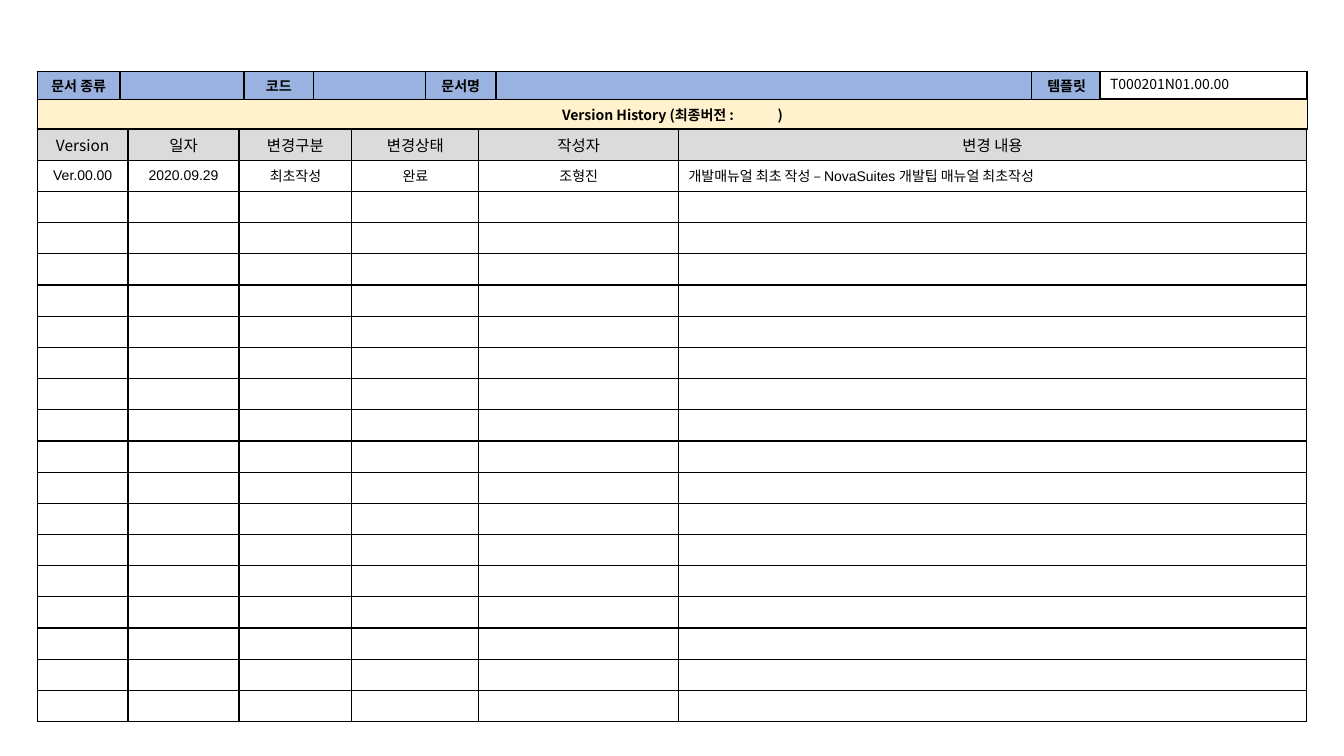
from dataclasses import dataclass

from lxml.etree import SubElement
from pptx import Presentation
from pptx.dml.color import RGBColor
from pptx.enum.text import MSO_ANCHOR as ANCHOR, MSO_AUTO_SIZE as AUTO, PP_ALIGN as ALIGN
from pptx.oxml.ns import qn
from pptx.util import Inches, Pt

BLACK = RGBColor(0x00, 0x00, 0x00)
WHITE = RGBColor(0xFF, 0xFF, 0xFF)
BLUE = RGBColor(0x99, 0xB2, 0xDF)
CREAM = RGBColor(0xFF, 0xF2, 0xCC)
GRAY = RGBColor(0xDB, 0xDB, 0xDB)
KOREAN = "Noto Sans CJK KR"
LATIN = "Arial"
LEFT = 0.37
HEADER_TOP, HEADER_HEIGHT = 0.71, 0.28
TITLE_TOP, TITLE_HEIGHT = 0.99, 0.29
HISTORY_TOP, HISTORY_HEIGHT = 1.28, 5.88
HISTORY_ROWS = 19


@dataclass
class RowStyle:
    fill: RGBColor
    size: float = 10
    font: str = KOREAN
    bold: bool = False


@dataclass
class Grid:
    top: float
    height: float
    widths: list[float]
    texts: list[list[str]]
    styles: list[RowStyle]


def add_text(p, text: str, *, size: float = 10, font: str = KOREAN,
             bold: bool = False, spacing: float = 0) -> None:
    r = p.add_run()
    r.text = text
    r.font.size = Pt(size)
    r.font.bold = bold
    r.font.color.rgb = BLACK
    r.font.name = font
    r_pr = r.font._element
    SubElement(r_pr, qn("a:ea"), typeface=KOREAN)
    if spacing:
        r_pr.set("spc", str(int(spacing * 100)))


def add_borders(cell) -> None:
    tc_pr = cell._tc.get_or_add_tcPr()
    for side in ("lnL", "lnR", "lnT", "lnB"):
        ln = SubElement(tc_pr, qn(f"a:{side}"), w=str(Pt(1)))
        fill = SubElement(ln, qn("a:solidFill"))
        SubElement(fill, qn("a:srgbClr"), val=str(BLACK))


def format_cell(cell, text: str, style: RowStyle, align: ALIGN) -> None:
    add_borders(cell)
    cell.fill.solid()
    cell.fill.fore_color.rgb = style.fill
    cell.vertical_anchor = ANCHOR.MIDDLE
    cell.margin_top = cell.margin_bottom = Inches(0.02)
    p = cell.text_frame.paragraphs[0]
    p.alignment = align
    if text:
        add_text(p, text, size=style.size, font=style.font, bold=style.bold)
    else:
        SubElement(p._p, qn("a:endParaRPr"), sz=str(int(style.size * 100)))


def add_grid(s, grid: Grid):
    rows, cols = len(grid.texts), len(grid.widths)
    table = s.shapes.add_table(rows, cols, Inches(LEFT), Inches(grid.top),
                               Inches(sum(grid.widths)), Inches(grid.height)).table
    table.first_row = table.horz_banding = False
    for column, width in zip(table.columns, grid.widths):
        column.width = Inches(width)
    for row, texts, style in zip(table.rows, grid.texts, grid.styles):
        row.height = Inches(grid.height / rows)
        for cell, text in zip(row.cells, texts):
            sentence = len(text) > 20
            format_cell(cell, text, style, ALIGN.LEFT if sentence else ALIGN.CENTER)
    return table


def place_template_code(sp) -> None:
    sp.element.getparent().append(sp.element)
    sp.left, sp.top = Inches(10.91), Inches(HEADER_TOP)
    sp.width, sp.height = Inches(2.05), Inches(0.27)
    sp.fill.solid()
    sp.fill.fore_color.rgb = WHITE
    sp.line.color.rgb = BLACK
    sp.line.width = Pt(0.75)
    tf = sp.text_frame
    tf.word_wrap = True
    tf.auto_size = AUTO.NONE
    tf.vertical_anchor = ANCHOR.MIDDLE
    p = tf.paragraphs[0]
    p.alignment = ALIGN.LEFT
    p.line_spacing = 0.9
    p.space_before = Pt(10)
    add_text(p, "T000201N01.00.00")


prs = Presentation()
prs.slide_width, prs.slide_height = Inches(13.33), Inches(7.5)
s = prs.slides.add_slide(prs.slide_layouts[2])
title = s.shapes.title
title.element.getparent().remove(title.element)
template_code = s.placeholders[1]

add_grid(s, Grid(
    HEADER_TOP, HEADER_HEIGHT, [0.82, 1.23, 0.69, 1.11, 0.7, 5.31, 0.7, 2.04],
    [["문서 종류", "", "코드", "", "문서명", "", "템플릿", ""]],
    [RowStyle(BLUE, bold=True)]))

title_table = add_grid(s, Grid(TITLE_TOP, TITLE_HEIGHT, [12.6], [[""]], [RowStyle(CREAM)]))
title_p = title_table.cell(0, 0).text_frame.paragraphs[0]
add_text(title_p, "Version History (최종버전 :", bold=True)
add_text(title_p, " ", bold=True, spacing=29)
add_text(title_p, ")", bold=True)

place_template_code(template_code)

headings = ["Version", "일자", "변경구분", "변경상태", "작성자", "변경 내용"]
first_version = ["Ver.00.00", "2020.09.29", "최초작성", "완료", "조형진",
                 "개발매뉴얼 최초 작성 – NovaSuites 개발팁 매뉴얼 최초작성"]
blank_rows = [[""] * len(headings)] * (HISTORY_ROWS - 2)
add_grid(s, Grid(
    HISTORY_TOP, HISTORY_HEIGHT, [0.9, 1.1, 1.12, 1.26, 1.98, 6.23],
    [headings, first_version, *blank_rows],
    [RowStyle(GRAY, size=11)] + [RowStyle(WHITE, font=LATIN)] * (HISTORY_ROWS - 1)))

prs.save("out.pptx")
